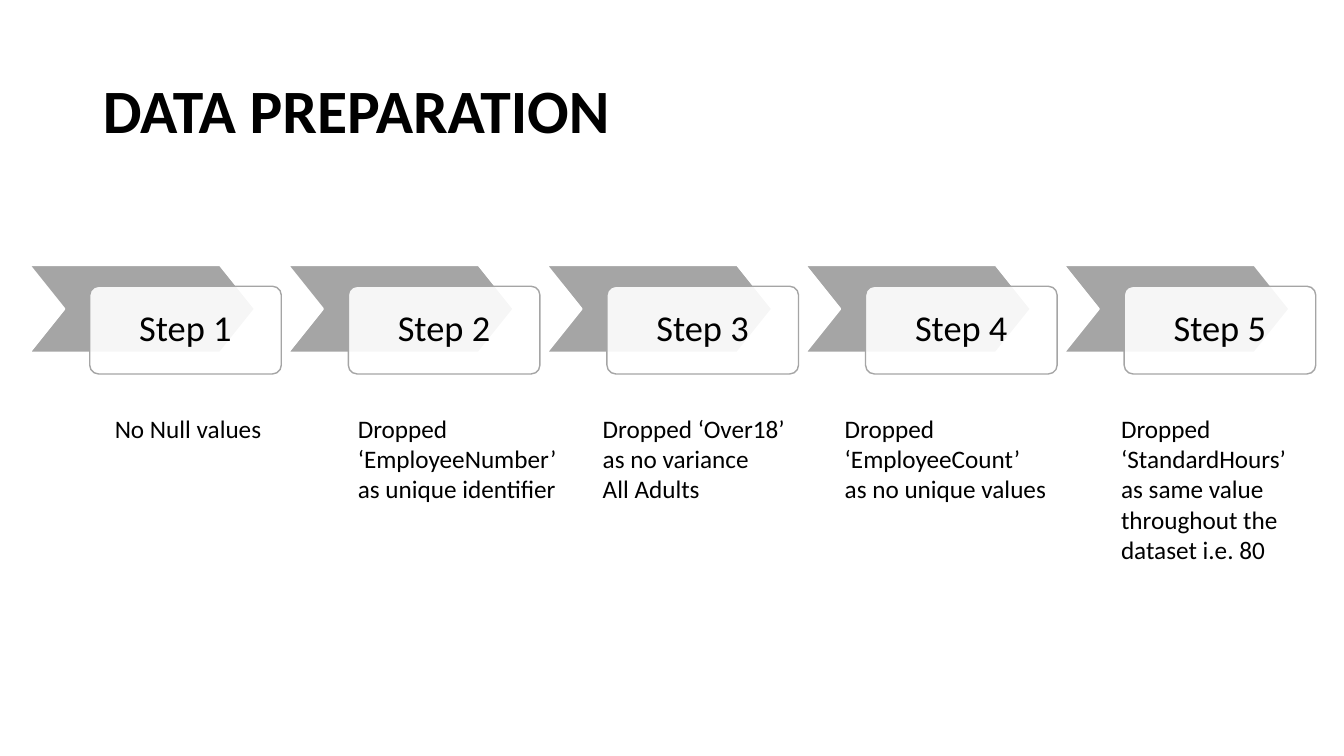
from lxml import etree
from pptx import Presentation
from pptx.dml.color import RGBColor
from pptx.enum.shapes import MSO_SHAPE as SHAPE
from pptx.enum.text import MSO_ANCHOR as ANCHOR, MSO_AUTO_SIZE as AUTO, PP_ALIGN as ALIGN
from pptx.oxml.ns import qn
from pptx.util import Pt

PX = 9144  # 100 px to the inch
GREY, WHITE, BLACK = "A5A5A5", "FFFFFF", "000000"

# Left and width of each note, then its paragraphs
NOTES = [
    (104, 220, ["No Null values"]),
    (345, 242, ["Dropped ‘EmployeeNumber’", "as unique identifier"]),
    (588, 240, ["Dropped ‘Over18’", "as no variance", "All Adults"]),
    (828, 263, ["Dropped ‘EmployeeCount’", "as no unique values"]),
    (1102, 191, ["Dropped ‘StandardHours’ as same value throughout the dataset i.e. 80"]),
]


def emu(*lengths):
    return [round(n * PX) for n in lengths]


def color(hex_code):
    return RGBColor.from_string(hex_code)


def write(tf, lines, size, bold=False, **para):
    tf.word_wrap = True
    for i, line in enumerate(lines):
        p = tf.paragraphs[0] if i == 0 else tf.add_paragraph()
        for name, value in para.items():
            setattr(p, name, value)
        r = p.add_run()
        r.text = line
        for name, value in {"name": "Calibri", "size": Pt(size), "bold": bold}.items():
            setattr(r.font, name, value)
        r.font.color.rgb = color(BLACK)


def add_block(s, kind, box, adjust, fill, line, width):
    sp = s.shapes.add_shape(kind, *emu(*box))
    sp.adjustments[0] = adjust
    sp.shadow.inherit = False
    sp.fill.solid()
    sp.fill.fore_color.rgb = color(fill)
    sp.line.color.rgb = color(line)
    sp.line.width = Pt(width)
    return sp


def set_opacity(sp, percent):
    clr = sp.fill._xPr.find(qn("a:solidFill"))[0]
    etree.SubElement(clr, qn("a:alpha")).set("val", str(percent * 1000))


def add_title(s, box, text):
    sp = s.shapes.title
    sp.left, sp.top, sp.width, sp.height = emu(*box)
    sp.text_frame.vertical_anchor = ANCHOR.MIDDLE
    write(sp.text_frame, [text], 44, True, alignment=ALIGN.LEFT, line_spacing=0.9)


def add_step(s, box, label):
    x, y, w, h = box
    # Arrow at the upper left, label card at the lower right
    add_block(s, SHAPE.CHEVRON, (x, y, w - 26, h - 21), 0.4, GREY, WHITE, 1.5)
    card = add_block(s, SHAPE.ROUNDED_RECTANGLE, (x + 60, y + 21, w - 60, h - 21),
                     0.1, WHITE, GREY, 1)
    set_opacity(card, 90)
    card.text_frame.vertical_anchor = ANCHOR.MIDDLE
    write(card.text_frame, [label], 26, alignment=ALIGN.CENTER, line_spacing=0.9)


def add_steps(s, box, count):
    x, y, w, h = box
    step_w = 250
    pitch = (w - step_w) / (count - 1)
    for i in range(count):
        add_step(s, (x + i * pitch, y, step_w, h), f"Step {i + 1}")


def add_note(s, box, lines):
    tf = s.shapes.add_textbox(*emu(*box)).text_frame
    tf.auto_size = AUTO.SHAPE_TO_FIT_TEXT
    write(tf, lines, 18)


def main():
    prs = Presentation()
    prs.slide_width, prs.slide_height = emu(1333, 750)
    s = prs.slides.add_slide(prs.slide_layouts[5])

    # Heading
    add_title(s, (92, 40, 1150, 145), "DATA PREPARATION")

    # Row of steps
    add_steps(s, (29, 263, 1276, 108), len(NOTES))

    # Notes below the steps
    for x, w, lines in NOTES:
        add_note(s, (x, 405, w, 131), lines)

    prs.save("out.pptx")


if __name__ == "__main__":
    main()
